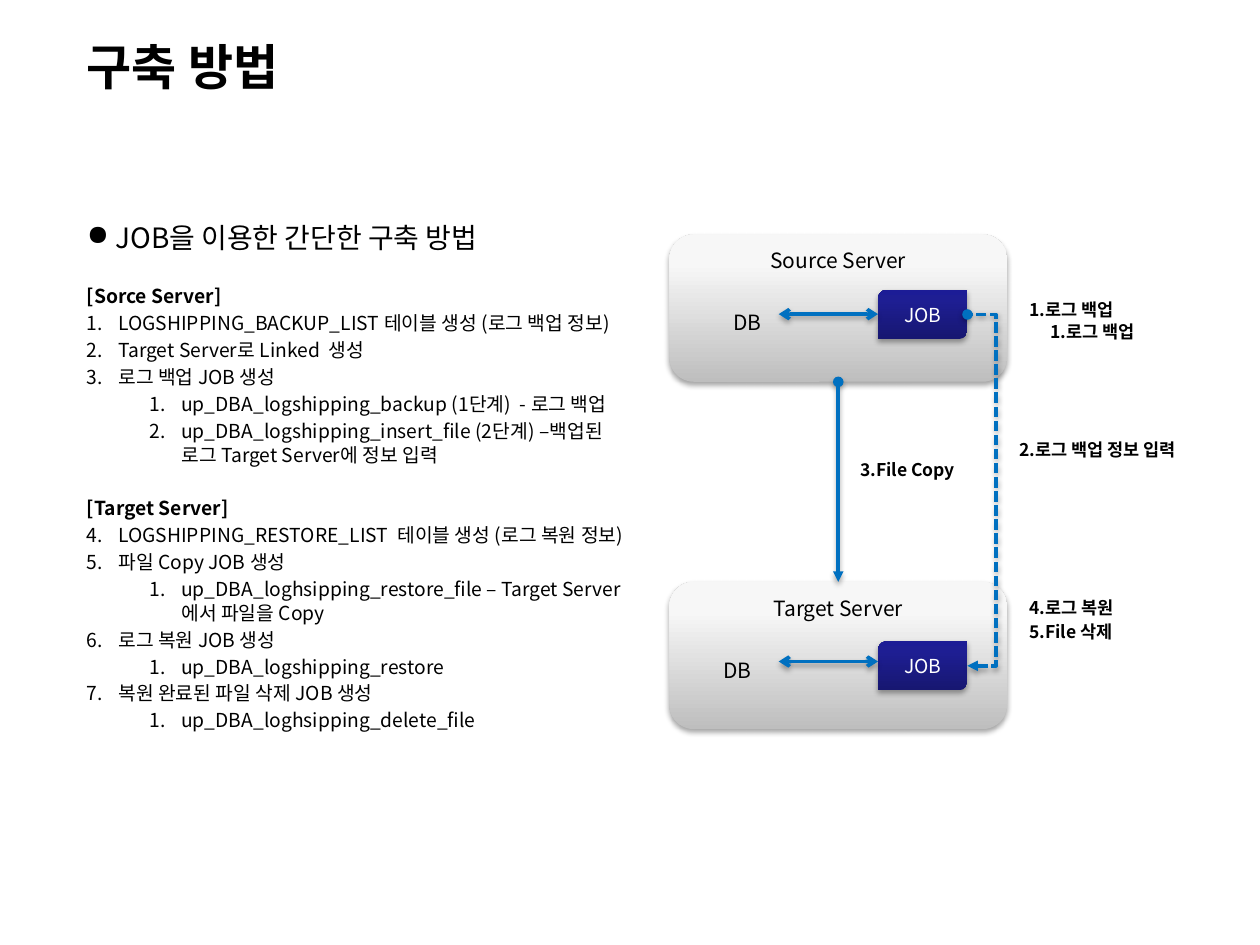
from dataclasses import dataclass

from lxml.etree import SubElement
from pptx import Presentation
from pptx.dml.color import RGBColor
from pptx.enum.dml import MSO_LINE_DASH_STYLE as Dash
from pptx.enum.shapes import MSO_CONNECTOR as Conn, MSO_SHAPE as Shape
from pptx.enum.text import MSO_ANCHOR as Anchor, PP_ALIGN as Align
from pptx.oxml.ns import qn
from pptx.util import Pt

FONT = "Noto Sans CJK KR"
COLORS = {"text": "000000", "white": "FFFFFF", "line": "0070C0", "shadow": "000000"}
GRADIENTS = {
    "server": {0: "BEBEBE", 80: "F7F7F7", 100: "F8F8F8"},
    "job": {0: "171771", 80: "1E1E93", 100: "1C1C96"},
}


@dataclass
class Item:
    text: str
    level: int = 0
    start: int = 1      # number that opens the list
    heading: bool = False


@dataclass
class Block:
    text: str
    left: float
    top: float
    width: float
    height: float
    kind: str


@dataclass
class Label:
    lines: list[str]
    left: float
    top: float
    width: float
    size: float = 10
    bold: bool = True
    align: Align = Align.LEFT


@dataclass
class Arrow:
    start: tuple[float, float]
    end: tuple[float, float]
    head: str
    tail: str
    bend: float | None = None   # how far the elbow reaches to the right


ITEMS = [
    Item("[Sorce Server]", heading=True),
    Item("LOGSHIPPING_BACKUP_LIST 테이블 생성 (로그 백업 정보)"),
    Item("Target Server로 Linked  생성"),
    Item("로그 백업 JOB 생성"),
    Item("up_DBA_logshipping_backup (1단계)  - 로그 백업", 1),
    Item("up_DBA_logshipping_insert_file (2단계) –백업된 로그 Target Server에 정보 입력", 1),
    Item("[Target Server]", heading=True),
    Item("LOGSHIPPING_RESTORE_LIST  테이블 생성 (로그 복원 정보)", start=4),
    Item("파일 Copy JOB 생성", start=4),
    Item("up_DBA_loghsipping_restore_file – Target Server에서 파일을 Copy", 1),
    Item("로그 복원 JOB 생성", start=4),
    Item("up_DBA_logshipping_restore", 1),
    Item("복원 완료된 파일 삭제 JOB 생성", start=4),
    Item("up_DBA_loghsipping_delete_file", 1),
]
SERVERS = [
    Block("Source Server", 382.5, 134, 193, 84.2, "server"),
    Block("Target Server", 382.5, 332.5, 193, 84.2, "server"),
]
JOBS = [Block("JOB", 501.75, top, 51, 28, "job") for top in (165.75, 366.5)]
LABELS = [
    Label(["DB"], 399.75, 173.5, 54.5, 12, False, Align.CENTER),
    Label(["DB"], 394, 372, 54.5, 12, False, Align.CENTER),
    Label(["3.File Copy"], 484.5, 258.5, 73.5),
    Label(["4.로그 복원", "5.File 삭제"], 581, 337.5, 73.5),
    Label(["1.로그 백업"], 581, 167.5, 73.5),
    Label(["2.로그 백업 정보 입력"], 575.25, 247.5, 113),
    Label(["1.로그 백업"], 593.25, 180, 73.5),
]
FLOWS = [Arrow((501.75, y), (445, y), "arrow", "arrow") for y in (179.5, 378)]
COPY_FLOW = Arrow((479, 332.5), (479, 218.2), "triangle", "oval")
LOG_FLOW = Arrow((552.75, 380.5), (552.87, 179.75), "triangle", "oval", 17.5)


def add_run(p, text: str, size: float, color: str = "text", bold: bool = False) -> None:
    r = p.add_run()
    r.text = text
    for name, value in {"name": FONT, "size": Pt(size), "bold": bold}.items():
        setattr(r.font, name, value)
    r.font.color.rgb = RGBColor.from_string(COLORS[color])
    SubElement(r.font._element, qn("a:ea"), typeface=FONT)


def add_bullet(p, tag: str, left: float, indent: float, **attrs: str) -> None:
    pPr = p._p.get_or_add_pPr()
    pPr.set("marL", str(Pt(left)))
    pPr.set("indent", str(Pt(-indent)))
    SubElement(pPr, qn(tag), **attrs)


def add_shadow(spPr) -> None:
    effects = SubElement(spPr, qn("a:effectLst"))
    shadow = SubElement(effects, qn("a:outerShdw"), blurRad=str(Pt(3.1)),
                        dist=str(Pt(1.8)), dir="5400000", rotWithShape="0")
    color = SubElement(shadow, qn("a:srgbClr"), val=COLORS["shadow"])
    SubElement(color, qn("a:alpha"), val="35000")


def add_block(shapes, block: Block):
    server = block.kind == "server"
    s = shapes.add_shape(Shape.ROUNDED_RECTANGLE if server else Shape.ROUND_2_DIAG_RECTANGLE,
                         *map(Pt, (block.left, block.top, block.width, block.height)))
    grad = SubElement(s._element.spPr, qn("a:gradFill"), rotWithShape="1")
    stops = SubElement(grad, qn("a:gsLst"))
    for pos, color in GRADIENTS[block.kind].items():
        stop = SubElement(stops, qn("a:gs"), pos=str(pos * 1000))
        SubElement(stop, qn("a:srgbClr"), val=color)
    SubElement(grad, qn("a:lin"), ang="16200000", scaled="0")
    s.line.fill.background()
    add_shadow(s._element.spPr)
    tf = s.text_frame
    tf.word_wrap = False
    tf.vertical_anchor = Anchor.TOP if server else Anchor.MIDDLE
    p = tf.paragraphs[0]
    p.alignment = Align.CENTER
    add_run(p, block.text, 12 if server else 11, "text" if server else "white")
    return s


def add_label(shapes, label: Label) -> None:
    height = 7.2 + len(label.lines) * label.size * 1.2
    tf = shapes.add_textbox(*map(Pt, (label.left, label.top, label.width, height))).text_frame
    tf.word_wrap = True
    for i, line in enumerate(label.lines):
        p = tf.add_paragraph() if i else tf.paragraphs[0]
        p.alignment = label.align
        if i:
            p.space_before = Pt(label.size * 0.2)
        add_run(p, line, label.size, bold=label.bold)


def add_arrow(shapes, arrow: Arrow):
    kind = Conn.STRAIGHT if arrow.bend is None else Conn.ELBOW
    c = shapes.add_connector(kind, *map(Pt, arrow.start + arrow.end))
    c.line.color.rgb = RGBColor.from_string(COLORS["line"])
    c.line.width = Pt(2)
    spPr = c._element.spPr
    if arrow.bend is not None:
        c.line.dash_style = Dash.SQUARE_DOT
        ratio = round(Pt(arrow.bend) / c.width * 100000)
        guides = spPr.find(qn("a:prstGeom")).find(qn("a:avLst"))
        SubElement(guides, qn("a:gd"), name="adj1", fmla=f"val {ratio}")
    ln = c.line._get_or_add_ln()
    SubElement(ln, qn("a:headEnd"), type=arrow.head)
    SubElement(ln, qn("a:tailEnd"), type=arrow.tail)
    add_shadow(spPr)
    return c


def add_steps(shapes) -> None:
    tf = shapes.add_textbox(Pt(42.5), Pt(122.4), Pt(323.3), Pt(385)).text_frame
    tf.word_wrap = True
    p = tf.paragraphs[0]
    add_bullet(p, "a:buChar", 16.5, 16.5, char="●")
    add_run(p, "JOB을 이용한 간단한 구축 방법", 16)
    for item in ITEMS:
        p = tf.add_paragraph()
        p.level = item.level
        p.space_before = Pt(17.6 if item.heading else 2.2)
        if not item.heading:
            add_bullet(p, "a:buAutoNum", 18 + 36 * item.level, 18,
                       type="arabicPeriod", startAt=str(item.start))
        add_run(p, item.text, 11, bold=item.heading)


def main() -> None:
    prs = Presentation()
    prs.slide_width, prs.slide_height = Pt(720), Pt(540)
    slide = prs.slides.add_slide(prs.slide_layouts[5])
    shapes = slide.shapes

    # Title
    title = shapes.title
    box = {"left": 42.5, "top": 9.4, "width": 640.8, "height": 56.9}
    for name, value in box.items():
        setattr(title, name, Pt(value))
    title.text_frame.vertical_anchor = Anchor.MIDDLE
    p = title.text_frame.paragraphs[0]
    p.alignment = Align.LEFT
    add_run(p, "구축 방법", 28, bold=True)

    # Steps on the left
    add_steps(shapes)

    # Servers, jobs and flows on the right
    source, target = [add_block(shapes, b) for b in SERVERS]
    for job in JOBS:
        add_block(shapes, job)
    for flow in FLOWS:
        add_arrow(shapes, flow)
    copy_flow = add_arrow(shapes, COPY_FLOW)
    copy_flow.begin_connect(target, 0)
    copy_flow.end_connect(source, 2)
    add_arrow(shapes, LOG_FLOW)
    for label in LABELS:
        add_label(shapes, label)

    prs.save("out.pptx")


if __name__ == "__main__":
    main()
